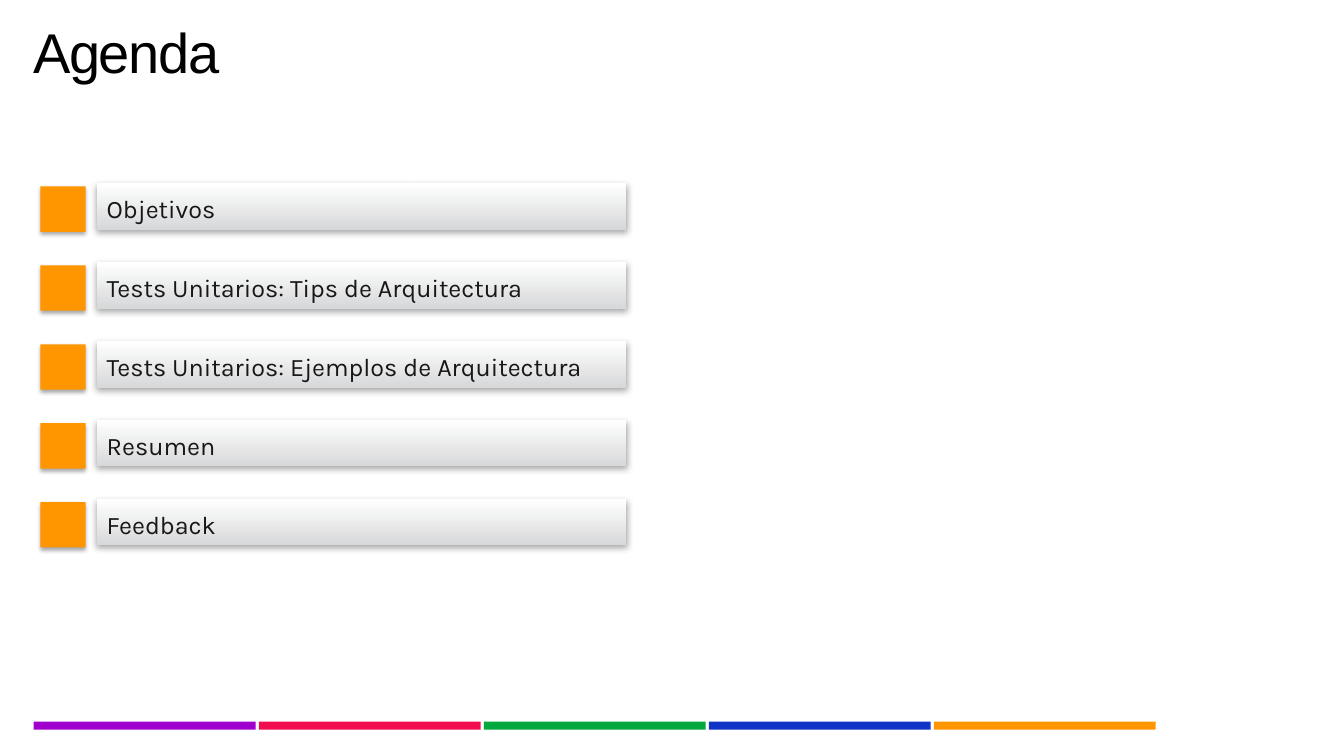
from lxml import etree
from pptx import Presentation
from pptx.dml.color import RGBColor
from pptx.enum import shapes, text
from pptx.oxml.ns import qn
from pptx.util import Inches, Pt

ORANGE = "FF9600"
BAR_COLORS = ["9F00CE", "F20D50", "03A83F", "1034C8", ORANGE]
TOPICS = [
    "Objetivos",
    "Tests Unitarios: Tips de Arquitectura",
    "Tests Unitarios: Ejemplos de Arquitectura",
    "Resumen",
    "Feedback",
]


def add_rect(parent, box, color=None, blur=None):
    """Add a borderless rectangle: solid colour or grey gradient, with a shadow if blur is given."""
    sp = parent.add_shape(shapes.MSO_SHAPE.RECTANGLE, *map(Inches, box))
    sp.shadow.inherit = False
    sp.line.fill.background()
    if color:
        sp.fill.solid()
        sp.fill.fore_color.rgb = RGBColor.from_string(color)
    else:
        sp.fill.gradient()
        sp.fill.gradient_angle = 90
        for stop, tone in zip(sp.fill.gradient_stops, ["D7D8D9", "FFFFFF"]):
            stop.color.rgb = RGBColor.from_string(tone)
    if blur:
        effects = sp.element.spPr.find(qn("a:effectLst"))
        shadow = etree.SubElement(effects, qn("a:outerShdw"), blurRad=str(Pt(blur)),
                                  dist=str(Pt(1.8)), dir="5400000", algn="t", rotWithShape="0")
        black = etree.SubElement(shadow, qn("a:srgbClr"), val="000000")
        etree.SubElement(black, qn("a:alpha"), val="35000")


def add_text(parent, box, words, color, **font):
    sp = parent.add_textbox(*map(Inches, box))
    tf = sp.text_frame
    tf.word_wrap = True
    tf.auto_size = text.MSO_AUTO_SIZE.SHAPE_TO_FIT_TEXT
    r = tf.paragraphs[0].add_run()
    r.text = words
    r.font.color.rgb = RGBColor.from_string(color)
    for name, value in font.items():
        setattr(r.font, name, value)
    return tf


prs = Presentation()
prs.slide_width, prs.slide_height = Inches(13.33), Inches(7.5)
s = prs.slides.add_slide(prs.slide_layouts[6])

# Coloured strip along the bottom
strip = s.shapes.add_group_shape()
for i, color in enumerate(BAR_COLORS):
    add_rect(strip.shapes, (0.335 + 2.232 * i, 7.16, 2.2, 0.08), color)

# Title
tf = add_text(s.shapes, (0.33, 0.25, 12.68, 0.61), "Agenda", "000000", name="Arial", size=Pt(40))
for side in ("left", "top", "right", "bottom"):
    setattr(tf, f"margin_{side}", 0)
p = tf.paragraphs[0]
p.line_spacing = 0.9
p.runs[0].font.element.set("spc", "-100") if hasattr(p.runs[0].font, "element") else \
    p.runs[0]._r.get_or_add_rPr().set("spc", "-100")

# Agenda rows
for i, topic in enumerate(TOPICS):
    top = 1.82 + 0.783 * i
    row = s.shapes.add_group_shape().shapes
    add_rect(row, (0.96, top, 5.25, 0.46), blur=5)
    add_text(row, (0.96, top + 0.05, 5.25, 0.4), topic, "171717", name="Karla", size=Pt(18))
    add_rect(row, (0.4, top + 0.03, 0.45, 0.45), ORANGE, blur=3.1)

prs.save("out.pptx")
